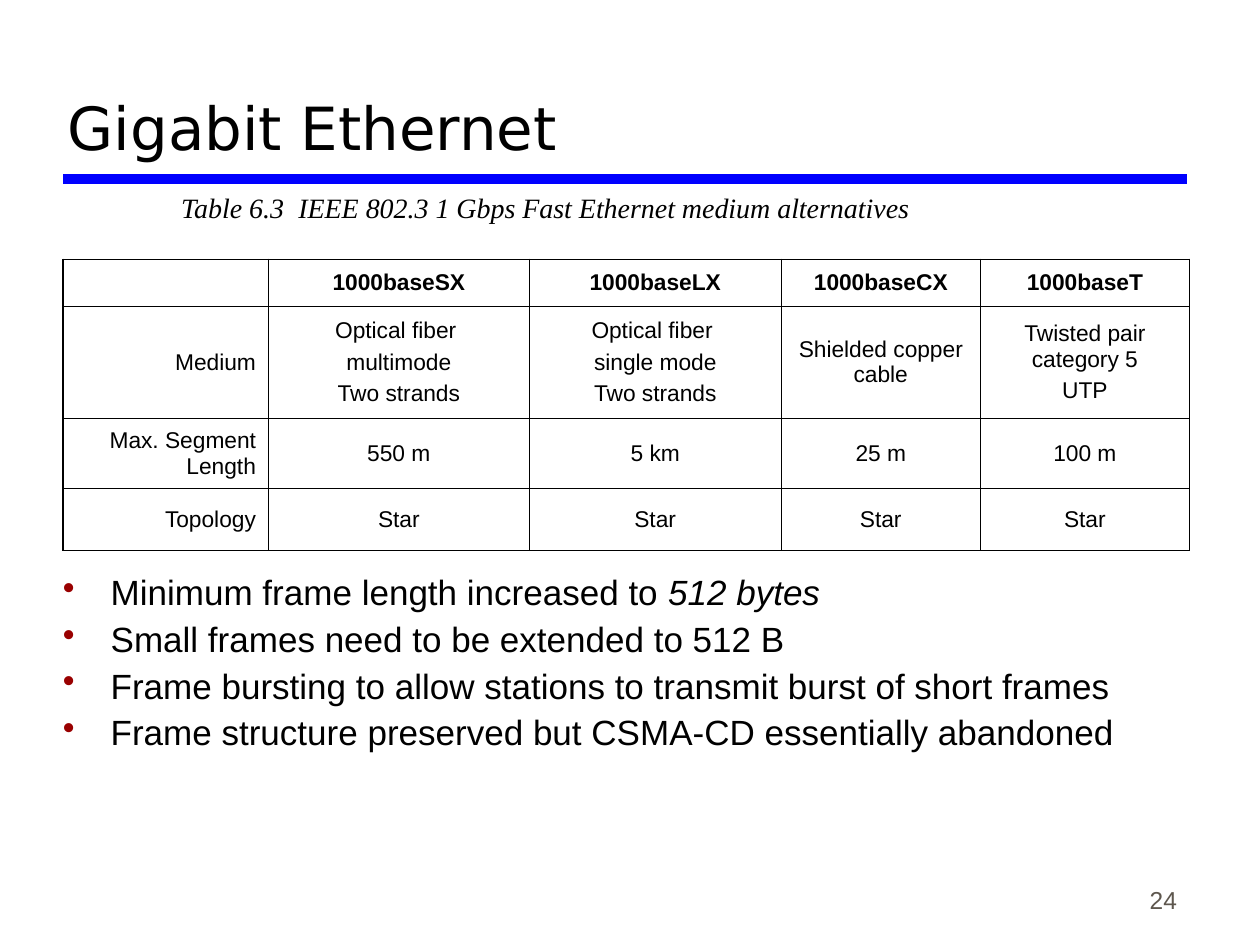
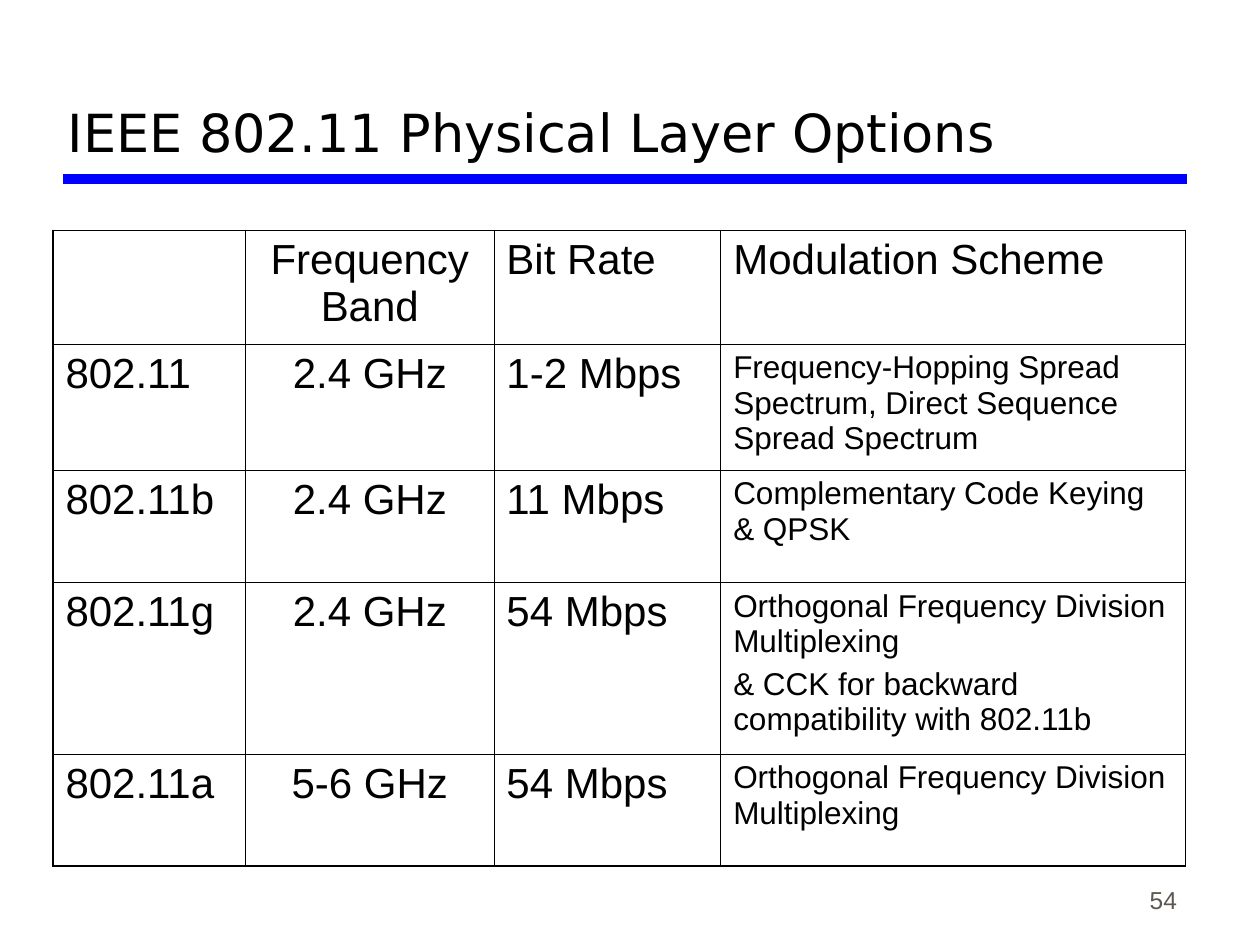
from dataclasses import dataclass

from lxml import etree
from pptx import Presentation, util as u
from pptx.dml.color import RGBColor
from pptx.enum import shapes, text as t
from pptx.oxml.ns import qn


@dataclass(frozen=True)
class Theme:
    ink: str = "000000"
    rule: str = "0000FF"
    bullet: str = "990000"
    page_number: str = "5E574E"
    body_font: str = "Arial"
    title_font: str = "DejaVu Sans"
    caption_font: str = "Times New Roman"
    title_size: float = 34
    long_title_size: float = 30
    table_size: float = 24
    list_size: float = 20
    detail_size: float = 18
    caption_size: float = 16
    number_size: float = 14
    small_table_size: float = 13
    rule_width: float = 6
    inner_border: float = 0.45
    outer_border: float = 1.08


THEME = Theme()
COLUMNS, ROWS = 100, 75
SLIDE_WIDTH, SLIDE_HEIGHT = u.Inches(10), u.Inches(7.5)
LEFT, CENTER, RIGHT = t.PP_ALIGN.LEFT, t.PP_ALIGN.CENTER, t.PP_ALIGN.RIGHT

MEDIA_ROWS = [
    ["", "1000baseSX", "1000baseLX", "1000baseCX", "1000baseT"],
    ["Medium", "Optical fiber \nmultimode\nTwo strands",
     "Optical fiber \nsingle mode\nTwo strands",
     "Shielded copper cable", "Twisted pair category 5\nUTP"],
    ["Max. Segment Length", "550 m", "5 km", "25 m", "100 m"],
    ["Topology"] + ["Star"] * 4,
]
FRAME_POINTS = [
    [("Minimum frame length increased to ", False), ("512 bytes", True)],
    [("Small frames need to be extended to 512 B", False)],
    [("Frame bursting to allow stations to transmit burst of short frames", False)],
    [("Frame structure preserved but CSMA-CD essentially abandoned", False)],
]
WIRELESS_ROWS = [
    ["", "Frequency Band", "Bit Rate", "Modulation Scheme"],
    ["802.11", "2.4 GHz", "1-2 Mbps",
     "Frequency-Hopping Spread Spectrum, Direct Sequence Spread Spectrum"],
    ["802.11b", "2.4 GHz", "11 Mbps", "Complementary Code Keying & QPSK"],
    ["802.11g", "2.4 GHz", "54 Mbps",
     "Orthogonal Frequency Division Multiplexing\n"
     "& CCK for backward compatibility with 802.11b"],
    ["802.11a", "5-6 GHz", "54 Mbps", "Orthogonal Frequency Division Multiplexing"],
]


def across(columns):
    return round(SLIDE_WIDTH * columns / COLUMNS)


def down(rows):
    return round(SLIDE_HEIGHT * rows / ROWS)


def place(left, top, width, height):
    return across(left), down(top), across(width), down(height)


def write(paragraph, text, size, font=THEME.body_font, color=THEME.ink,
          bold=False, italic=False, align=LEFT):
    """Append one formatted run to the paragraph."""
    paragraph.alignment = align
    run = paragraph.add_run()
    run.text = text
    run.font.name, run.font.size = font, u.Pt(size)
    run.font.bold, run.font.italic = bold, italic
    run.font.color.rgb = RGBColor.from_string(color)


def next_paragraph(frame, index):
    return frame.add_paragraph() if index else frame.paragraphs[0]


def add_box(slide, box, anchor=t.MSO_ANCHOR.TOP):
    frame = slide.shapes.add_textbox(*place(*box)).text_frame
    frame.word_wrap = True
    frame.vertical_anchor = anchor
    return frame


def add_label(slide, box, text, anchor, **style):
    paragraph = add_box(slide, box, anchor).paragraphs[0]
    write(paragraph, text, **style)
    return paragraph


def add_rule(slide):
    line = slide.shapes.add_connector(
        shapes.MSO_CONNECTOR.STRAIGHT, across(5), down(14.2), across(94.2), down(14.2))
    line.line.color.rgb = RGBColor.from_string(THEME.rule)
    line.line.width = u.Pt(THEME.rule_width)
    etree.SubElement(line._element.spPr, qn("a:effectLst"))


def add_slide(presentation, title, title_size, number):
    """Add a slide with the shared rule, page number and title."""
    slide = presentation.slides.add_slide(presentation.slide_layouts[6])
    add_rule(slide)
    add_label(slide, (73.6, 68.1, 20.8, 5), number, t.MSO_ANCHOR.BOTTOM,
              size=THEME.number_size, color=THEME.page_number, align=RIGHT)
    add_label(slide, (4.4, 1.7, 89.7, 11.7), title, t.MSO_ANCHOR.BOTTOM,
              size=title_size, font=THEME.title_font)
    return slide


def add_caption(slide, box, text, gap):
    """Add an italic caption whose tab stop lies gap columns from its start."""
    paragraph = add_label(slide, box, text, t.MSO_ANCHOR.MIDDLE, italic=True,
                          size=THEME.caption_size, font=THEME.caption_font)
    stops = etree.SubElement(paragraph._p.get_or_add_pPr(), qn("a:tabLst"))
    etree.SubElement(stops, qn("a:tab"), pos=str(across(gap)), algn="l")


def set_bullet(paragraph, indent):
    properties = paragraph._p.get_or_add_pPr()
    properties.set("marL", str(indent))
    properties.set("indent", str(-indent))
    color = etree.SubElement(properties, qn("a:buClr"))
    etree.SubElement(color, qn("a:srgbClr"), val=THEME.bullet)
    etree.SubElement(properties, qn("a:buChar"), char="•")


def add_bullets(slide, box, points):
    frame = add_box(slide, box)
    for index, point in enumerate(points):
        paragraph = next_paragraph(frame, index)
        set_bullet(paragraph, across(3.8))
        paragraph.line_spacing = 0.9
        if index:
            paragraph.space_before = u.Pt(THEME.list_size / 4)
        for text, italic in point:
            write(paragraph, text, THEME.list_size, italic=italic)


def set_borders(cell, outer_sides):
    properties = cell._tc.get_or_add_tcPr()
    for side, is_outer in outer_sides.items():
        width = THEME.outer_border if is_outer else THEME.inner_border
        line = etree.SubElement(properties, qn(f"a:ln{side}"), w=str(u.Pt(width)))
        fill = etree.SubElement(line, qn("a:solidFill"))
        etree.SubElement(fill, qn("a:srgbClr"), val=THEME.ink)


def fill_cell(cell, content, size, anchor, **style):
    cell.vertical_anchor = anchor
    cell.margin_left = cell.margin_right = across(1)
    cell.margin_top = cell.margin_bottom = down(0.5) if content else 0
    if not content:
        return
    for index, line in enumerate(content.split("\n")):
        paragraph = next_paragraph(cell.text_frame, index)
        if index:
            paragraph.space_before = u.Pt(size / 4)
        write(paragraph, line, size, **style)


def add_grid_table(slide, left, top, widths, heights, rows, anchor, style_of):
    """Add a ruled table; style_of(row, column) gives the text format of a cell."""
    table = slide.shapes.add_table(
        len(rows), len(widths), *place(left, top, sum(widths), sum(heights))).table
    table.first_row = table.horz_banding = False
    for column, width in zip(table.columns, widths):
        column.width = across(width)
    for row, height in zip(table.rows, heights):
        row.height = down(height)
    for i, contents in enumerate(rows):
        for j, content in enumerate(contents):
            cell = table.cell(i, j)
            set_borders(cell, {"L": j == 0, "R": j == len(widths) - 1,
                               "T": i == 0, "B": i == len(rows) - 1})
            cell.fill.background()
            fill_cell(cell, content, anchor=anchor, **style_of(i, j))


def media_style(row, column):
    return {"size": THEME.small_table_size, "bold": row == 0,
            "align": CENTER if column else RIGHT}


def wireless_style(row, column):
    is_detail = row > 0 and column == 3
    return {"size": THEME.detail_size if is_detail else THEME.table_size,
            "align": CENTER if column == 1 else LEFT}


def add_gigabit_slide(presentation):
    slide = add_slide(presentation, "Gigabit Ethernet", THEME.title_size, "24")
    add_caption(slide, (13.4, 14.6, 62, 3.7),
                "Table 6.3\tIEEE 802.3 1 Gbps Fast Ethernet medium alternatives", 9.3)
    add_grid_table(slide, 5, 20.6, [16.3, 20.7, 20, 15.8, 16.6], [3.7, 8.9, 5.6, 4.9],
                   MEDIA_ROWS, t.MSO_ANCHOR.MIDDLE, media_style)
    add_bullets(slide, (4, 45.2, 93.2, 18.8), FRAME_POINTS)


def add_wireless_slide(presentation):
    slide = add_slide(presentation, "IEEE 802.11 Physical Layer Options",
                      THEME.long_title_size, "54")
    add_grid_table(slide, 4.2, 18.3, [15.3, 19.7, 18, 36.9], [9, 10, 8.9, 13.6, 8.9],
                   WIRELESS_ROWS, t.MSO_ANCHOR.TOP, wireless_style)


def main():
    presentation = Presentation()
    presentation.slide_width, presentation.slide_height = SLIDE_WIDTH, SLIDE_HEIGHT
    add_gigabit_slide(presentation)
    add_wireless_slide(presentation)
    presentation.save("out.pptx")


if __name__ == "__main__":
    main()
